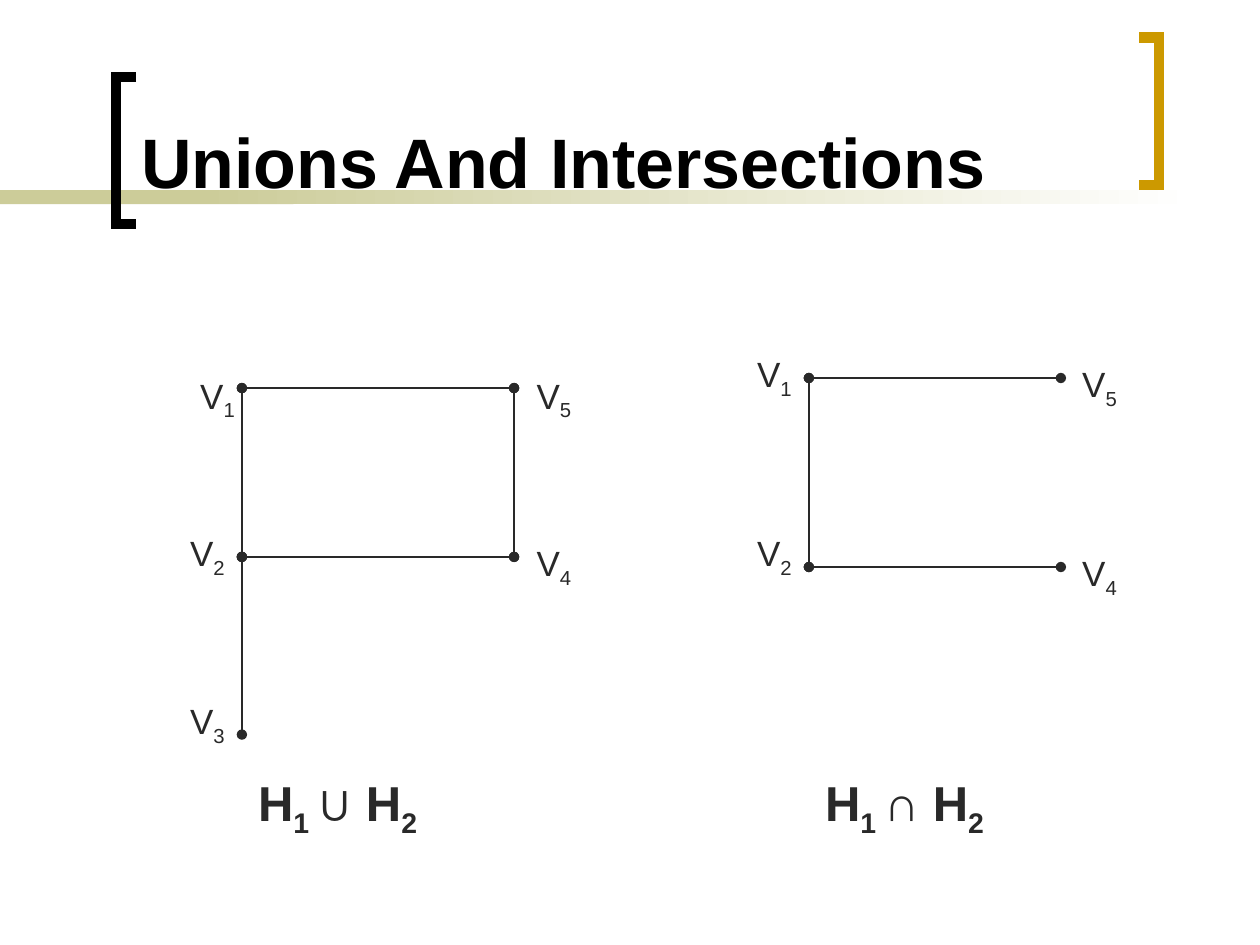
from lxml import etree
from pptx import Presentation
from pptx.dml.color import RGBColor
from pptx.enum.shapes import MSO_CONNECTOR, MSO_SHAPE
from pptx.enum.text import MSO_ANCHOR, MSO_AUTO_SIZE, PP_ALIGN
from pptx.oxml.ns import qn
from pptx.util import Inches, Pt

STRAIGHT = MSO_CONNECTOR.STRAIGHT
RECTANGLE = MSO_SHAPE.RECTANGLE
BOTTOM, TOP = MSO_ANCHOR.BOTTOM, MSO_ANCHOR.TOP
NO_AUTOFIT = MSO_AUTO_SIZE.NONE
LEFT = PP_ALIGN.LEFT

INK, SAND, GOLD, BLACK, WHITE = "292929", "CCCC99", "CC9900", "000000", "FFFFFF"
LABEL_INDENT = 0.49


def rgb(hex_color):
    return RGBColor.from_string(hex_color)


def write(frame, *pieces, size, color=INK, bold=False, indent=0, anchor=TOP):
    """Fill a frame with pieces; "_" starts a subscript, "~" a regular-weight piece."""
    frame.word_wrap = True
    frame.auto_size = NO_AUTOFIT
    frame.vertical_anchor = anchor
    paragraph = frame.paragraphs[0]
    paragraph.alignment = LEFT
    properties = paragraph._p.get_or_add_pPr()
    properties.set("marL", str(Inches(indent)))
    properties.set("indent", "0")
    for piece in pieces:
        run = paragraph.add_run()
        run.text = piece.lstrip("_~")
        run.font.name = "Arial"
        run.font.size = Pt(size)
        run.font.bold = bold and not piece.startswith("~")
        run.font.color.rgb = rgb(color)
        if piece.startswith("_"):
            run.font._element.set("baseline", "-25000")


prs = Presentation()
prs.slide_width, prs.slide_height = Inches(10), Inches(7.5)
slide = prs.slides.add_slide(prs.slide_layouts[5])
shapes = slide.shapes

# Band under the title: solid, then fading to white
for left, width, fades in [(0, 2.33, False), (1.58, 7.92, True)]:
    band = shapes.add_shape(RECTANGLE, Inches(left), Inches(1.51), Inches(width), Inches(0.11))
    band.shadow.inherit = False
    band.line.fill.background()
    if fades:
        band.fill.gradient()
        band.fill.gradient_angle = 0
        for stop, color in zip(band.fill.gradient_stops, (SAND, WHITE)):
            stop.color.rgb = rgb(color)
    else:
        band.fill.solid()
        band.fill.fore_color.rgb = rgb(SAND)

# Brackets around the title: tips, spine, top, color
for tip, spine, top, color in [(1.08, 0.92, 0.61, BLACK), (9.04, 9.2, 0.3, GOLD)]:
    bottom = top + 1.17
    outline = shapes.build_freeform(Inches(tip), Inches(top))
    outline.add_line_segments(
        [(Inches(x), Inches(y)) for x, y in [(spine, top), (spine, bottom), (tip, bottom)]],
        close=False)
    bracket = outline.convert_to_shape()
    bracket.shadow.inherit = False
    bracket.fill.background()
    bracket.line.width = Pt(6)
    bracket.line.color.rgb = rgb(color)
    etree.SubElement(bracket.line._get_or_add_ln(), qn("a:miter"), lim="800000")

# Title
title = shapes.title
title.left, title.top, title.width, title.height = map(Inches, (1.02, 0.11, 7.83, 1.55))
write(title.text_frame, "Unions And Intersections", size=40, color=BLACK, bold=True, anchor=BOTTOM)

# Each graph: vertex points, edges, label box corners, caption
graphs = [
    {
        "points": {1: (1.92, 3.08), 2: (1.92, 4.42), 3: (1.92, 5.83),
                   4: (4.08, 4.42), 5: (4.08, 3.08)},
        "edges": [(4, 5), (1, 5), (1, 2), (2, 4), (2, 3)],
        "labels": {1: (1, 2.92), 2: (0.92, 4.17), 3: (0.92, 5.5),
                   5: (3.67, 2.92), 4: (3.67, 4.25)},
        "caption": (1.46, "_1 ", "~∪ "),
    },
    {
        "points": {1: (6.42, 3), 2: (6.42, 4.5), 4: (8.42, 4.5), 5: (8.42, 3)},
        "edges": [(1, 5), (1, 2), (4, 2)],
        "labels": {1: (5.42, 2.75), 2: (5.42, 4.17), 4: (8, 4.33), 5: (8, 2.83)},
        "caption": (5.96, "_1 ", "~∩ "),
    },
]

for graph in graphs:
    # Edges with a dot at both ends
    for start, end in graph["edges"]:
        corners = graph["points"][start] + graph["points"][end]
        edge = shapes.add_connector(STRAIGHT, *map(Inches, corners))
        edge.line.width = Pt(0.75)
        edge.line.color.rgb = rgb(INK)
        for dot in ("a:headEnd", "a:tailEnd"):
            etree.SubElement(edge.line._get_or_add_ln(), qn(dot), type="oval")
        etree.SubElement(edge._element.spPr, qn("a:effectLst"))

    # Vertex labels
    for number, (left, top) in graph["labels"].items():
        label = shapes.add_textbox(Inches(left), Inches(top), Inches(1), Inches(0.48))
        write(label.text_frame, "V", f"_{number}", size=20, indent=LABEL_INDENT)

    # Caption
    left, first_index, operator = graph["caption"]
    caption = shapes.add_textbox(Inches(left), Inches(6.08), Inches(2.95), Inches(0.63))
    write(caption.text_frame, "H", first_index, operator, "H", "_2",
          size=28, bold=True, indent=LABEL_INDENT)

prs.save("out.pptx")
